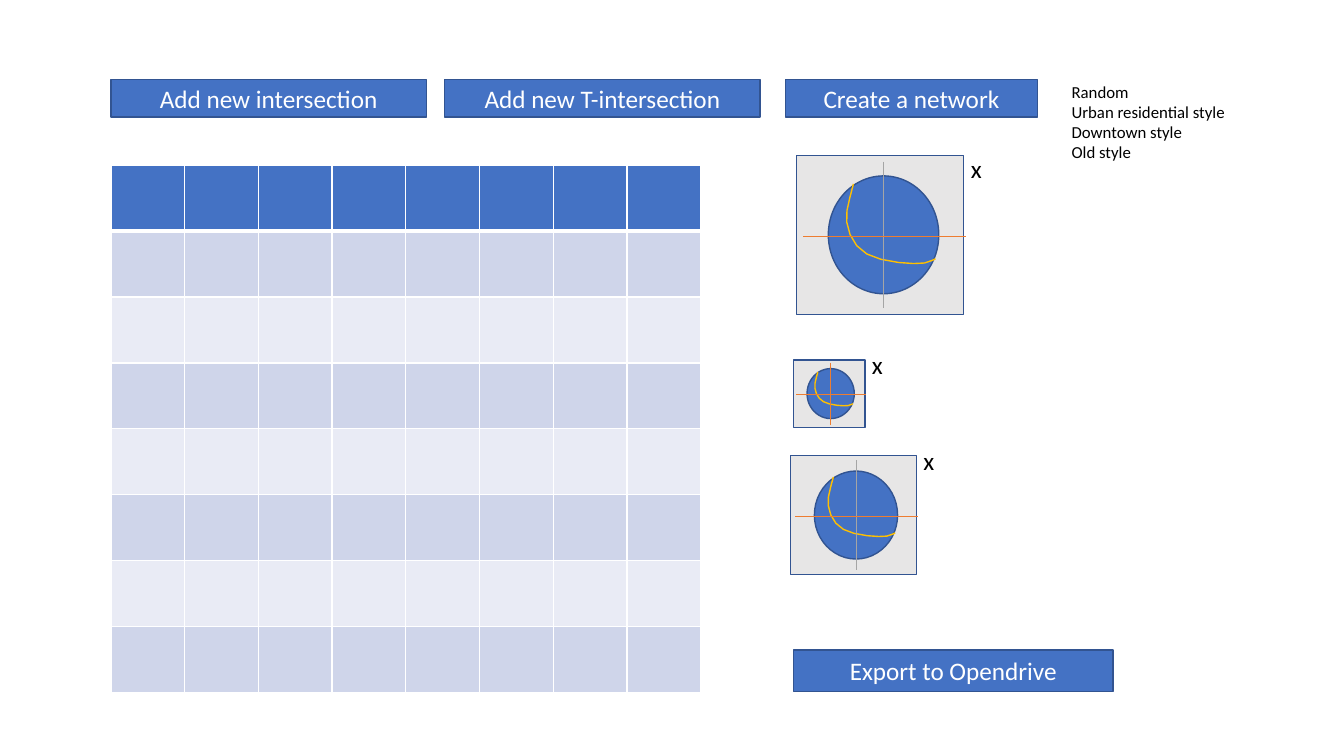
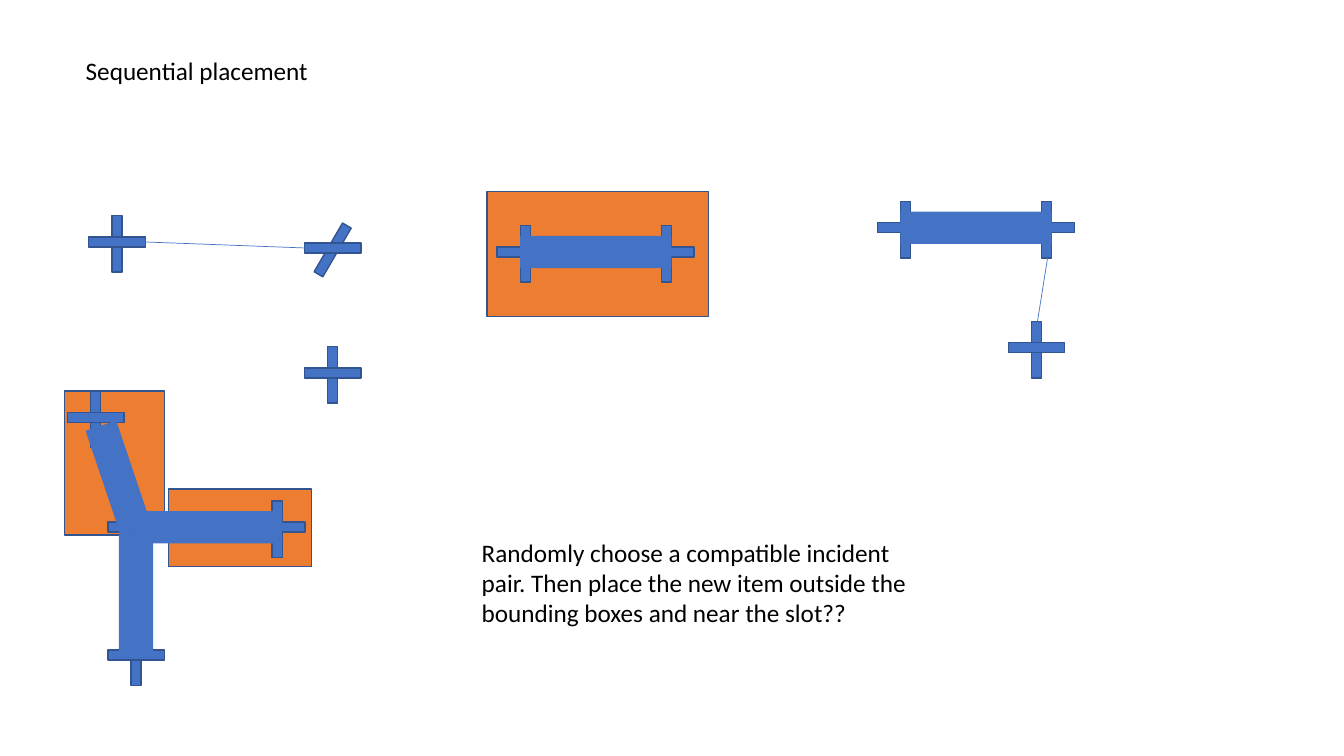
import dataclasses

import lxml.etree
import pptx
import pptx.dml.color
import pptx.enum.shapes
import pptx.enum.text
import pptx.oxml.ns
import pptx.util

Inches = pptx.util.Inches
Pt = pptx.util.Pt
Shape = pptx.enum.shapes.MSO_SHAPE
Align = pptx.enum.text.PP_ALIGN
Anchor = pptx.enum.text.MSO_ANCHOR
qualified = pptx.oxml.ns.qn


@dataclasses.dataclass(frozen=True)
class Theme:
    """Colours and type sizes of the deck."""
    font: str = "Calibri"
    blue: str = "4472C4"
    outline: str = "325491"
    orange: str = "ED7D31"
    gold: str = "FFC000"
    grey: str = "A5A5A5"
    panel: str = "E7E6E6"
    white: str = "FFFFFF"
    black: str = "000000"
    bands: tuple = ("E9EBF5", "CFD5EA")
    text: int = 18
    small: int = 12


THEME = Theme()
BAR_WIDTH, BAR_LENGTH, BAR_DROP = 0.1, 0.56, 0.02
ROAD_LENGTH, ROAD_WIDTH = 1.5, 0.32
CURVE_START = (0.34, 0.18)
CURVE_SEGMENTS = (
    ((0.32, 0.27), (0.29, 0.35), (0.3, 0.42)),
    ((0.31, 0.5), (0.35, 0.58), (0.42, 0.62)),
    ((0.48, 0.66), (0.63, 0.68), (0.7, 0.68)),
    ((0.77, 0.69), (0.83, 0.65), (0.83, 0.65)),
)


def colour(value):
    """Turn a hex string into a colour."""
    return pptx.dml.color.RGBColor.from_string(value)


def inches(values):
    """Convert several numbers to lengths."""
    return [Inches(value) for value in values]


def write(frame, text, size=THEME.text, ink=THEME.black, align=Align.LEFT, anchor=Anchor.TOP,
          wrap=True):
    """Fill a text frame, one paragraph for each line."""
    frame.word_wrap = wrap
    frame.auto_size = pptx.enum.text.MSO_AUTO_SIZE.NONE
    frame.vertical_anchor = anchor
    for index, line in enumerate(text.split("\n")):
        para = frame.paragraphs[0] if index == 0 else frame.add_paragraph()
        para.alignment = align
        span = para.add_run()
        span.text = line
        span.font.name = THEME.font
        span.font.size = Pt(size)
        span.font.color.rgb = colour(ink)


def add_text(page, box, text, **style):
    """Place a text box."""
    write(page.shapes.add_textbox(*inches(box)).text_frame, text, **style)


def add_block(shapes, box, fill=THEME.blue, line=THEME.outline, kind=Shape.RECTANGLE, rotation=0):
    """Place a filled shape, outlined unless line is None."""
    block = shapes.add_shape(kind, *inches(box))
    block.shadow.inherit = False
    block.fill.solid()
    block.fill.fore_color.rgb = colour(fill)
    block.rotation = rotation
    if line:
        block.line.color.rgb = colour(line)
        block.line.width = Pt(1)
    else:
        block.line.fill.background()
    return block


def add_line(shapes, ends, ink=THEME.blue):
    """Draw a thin straight line."""
    line = shapes.add_connector(pptx.enum.shapes.MSO_CONNECTOR.STRAIGHT, *inches(ends))
    line.line.color.rgb = colour(ink)
    line.line.width = Pt(0.5)
    lxml.etree.SubElement(line._element.spPr, qualified("a:effectLst"))


def add_button(page, box, text):
    """Place a labelled button."""
    write(add_block(page.shapes, box).text_frame, text, ink=THEME.white,
          align=Align.CENTER, anchor=Anchor.MIDDLE)


def add_border(cell, side, width):
    """Give one side of a cell a white border."""
    properties = cell._tc.get_or_add_tcPr()
    line = lxml.etree.SubElement(properties, qualified("a:ln" + side), w=str(Pt(width)))
    fill = lxml.etree.SubElement(line, qualified("a:solidFill"))
    lxml.etree.SubElement(fill, qualified("a:srgbClr"), val=THEME.white)


def add_grid(page, box, count=8):
    """Place the empty banded grid with its header row."""
    table = page.shapes.add_table(count, count, *inches(box)).table
    for row in range(count):
        table.rows[row].height = Inches(box[3] / count)
        table.columns[row].width = Inches(box[2] / count)
        for column in range(count):
            cell = table.cell(row, column)
            for side in "LRTB":
                under_header = (row, side) in ((0, "B"), (1, "T"))
                add_border(cell, side, 3 if under_header else 1)
            cell.fill.solid()
            cell.fill.fore_color.rgb = colour(THEME.bands[row % 2] if row else THEME.blue)


def curve_points(steps=3):
    """Sample the lane curve as fractions of its tile."""
    start, points = CURVE_START, [CURVE_START]
    for first, second, end in CURVE_SEGMENTS:
        for step in range(1, steps + 1):
            t = step / steps
            weights = ((1 - t) ** 3, 3 * t * (1 - t) ** 2, 3 * t * t * (1 - t), t ** 3)
            corners = (start, first, second, end)
            points.append(tuple(sum(weight * corner[axis] for weight, corner in zip(weights, corners))
                                for axis in (0, 1)))
        start = end
    return points


def add_tile(page, box, vertical_ink):
    """Place an intersection tile with its circle, lane curve and axes."""
    left, top, width, height = box
    shapes = page.shapes.add_group_shape().shapes

    def spot(x, y):
        """Locate a fraction of the tile on the page."""
        return left + x * width, top + y * height

    add_block(shapes, box, fill=THEME.panel)
    add_block(shapes, (*spot(0.19, 0.13), 0.66 * width, 0.74 * height), kind=Shape.OVAL)
    points = [tuple(inches(spot(*point))) for point in curve_points()]
    builder = shapes.build_freeform(*points[0])
    builder.add_line_segments(points[1:], close=False)
    curve = builder.convert_to_shape()
    curve.shadow.inherit = False
    curve.fill.background()
    curve.line.color.rgb = colour(THEME.gold)
    curve.line.width = Pt(1)
    add_line(shapes, spot(0.52, 0.04) + spot(0.52, 0.96), ink=vertical_ink)
    add_line(shapes, spot(0.04, 0.51) + spot(1.01, 0.51), ink=THEME.orange)


def add_bar(shapes, x, y, length=BAR_LENGTH, rotation=0):
    """Place a narrow bar around its centre."""
    add_block(shapes, (x - BAR_WIDTH / 2, y - length / 2, BAR_WIDTH, length), rotation=rotation)


def add_crossing(page, x, y, tilt=0):
    """Place two crossed bars around a centre."""
    shapes = page.shapes.add_group_shape().shapes
    add_bar(shapes, x, y + BAR_DROP, rotation=tilt)
    add_bar(shapes, x, y, rotation=90)


def add_road(page, box, rotation=0):
    """Place a road slab without outline."""
    add_block(page.shapes, box, line=None, rotation=rotation)


def add_joined_pair(page, x, y):
    """Place two crossings joined by a road, the first centred at x, y."""
    far_end = page.shapes.add_group_shape().shapes
    add_bar(far_end, x + 1.4, y + BAR_DROP)
    add_bar(far_end, x + 0.93, y, length=1.49, rotation=90)
    add_crossing(page, x, y)
    add_road(page, (x - BAR_WIDTH / 2, y - ROAD_WIDTH / 2, ROAD_LENGTH, ROAD_WIDTH))


def build_editor(deck):
    """Build the network editor page."""
    page = deck.slides.add_slide(deck.slide_layouts[6])
    add_button(page, (1.1, 0.79, 3.13, 0.37), "Add new intersection")
    add_button(page, (4.41, 0.79, 3.13, 0.37), "Add new T-intersection")
    add_grid(page, (1.1, 1.64, 5.85, 5.23))
    add_tile(page, (7.9, 1.54, 1.66, 1.58), THEME.grey)
    add_tile(page, (7.87, 3.57, 0.71, 0.67), THEME.orange)
    add_tile(page, (7.84, 4.52, 1.25, 1.18), THEME.grey)
    for left, top in ((9.06, 4.37), (8.55, 3.42), (9.53, 1.47)):
        add_text(page, (left, top, 0.25, 0.4), "x", wrap=False)
    add_button(page, (7.79, 0.79, 2.5, 0.37), "Create a network")
    add_text(page, (10.53, 0.76, 1.83, 0.91),
             "Random\nUrban residential style\nDowntown style\nOld style", size=THEME.small)
    add_button(page, (7.87, 6.45, 3.17, 0.41), "Export to Opendrive")


def build_placement(deck):
    """Build the sequential placement page."""
    page = deck.slides.add_slide(deck.slide_layouts[5])
    title = page.shapes.title
    title.left, title.top, title.width, title.height = inches((0.75, 0.5, 5.91, 0.71))
    write(title.text_frame, "Sequential placement")
    for box in ((1.67, 4.85, 1.42, 0.77), (0.64, 3.88, 0.99, 1.43), (4.83, 1.9, 2.2, 1.24)):
        add_block(page.shapes, box, fill=THEME.orange)
    add_crossing(page, 3.3, 2.46, tilt=30.3)
    for x, y in ((1.16, 2.4), (10.28, 3.45), (0.95, 4.14), (1.35, 6.5), (3.3, 3.7)):
        add_crossing(page, x, y)
    for x, y in ((5.21, 2.5), (1.35, 5.23), (8.98, 2.26)):
        add_joined_pair(page, x, y)
    add_road(page, (1.18, 5.28, 0.34, 1.2))
    for ends in ((3.02, 2.46, 1.43, 2.4), (10.29, 3.19, 10.39, 2.56), (1.35, 4.97, 0.95, 4.43)):
        add_line(page.shapes, ends)
    add_text(page, (4.68, 5.28, 4.66, 1.01),
             "Randomly choose a compatible incident pair. Then place the new item "
             "outside the bounding boxes and near the slot??")
    add_road(page, (0.63, 4.58, 1.09, ROAD_WIDTH), rotation=71.4)


def main():
    """Build and save the deck."""
    deck = pptx.Presentation()
    deck.slide_width, deck.slide_height = inches((13.33, 7.5))
    build_editor(deck)
    build_placement(deck)
    deck.save("out.pptx")


main()
